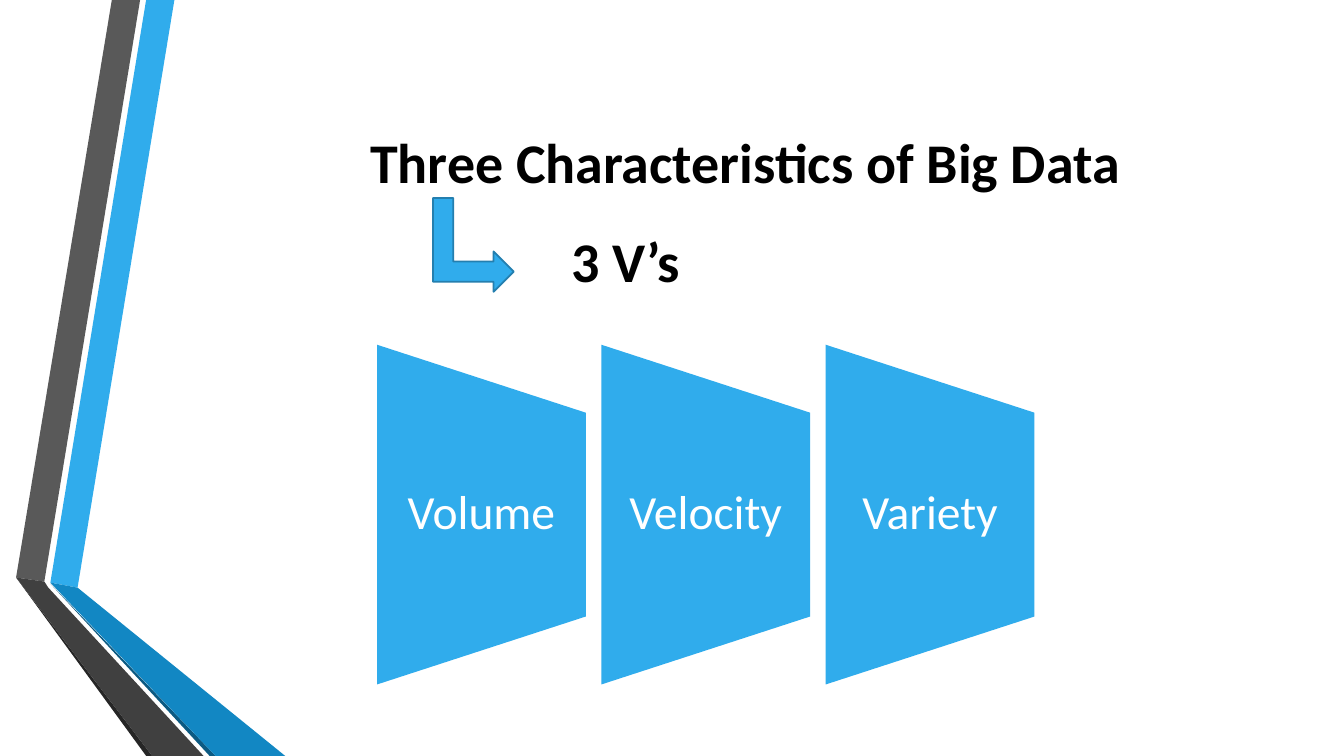
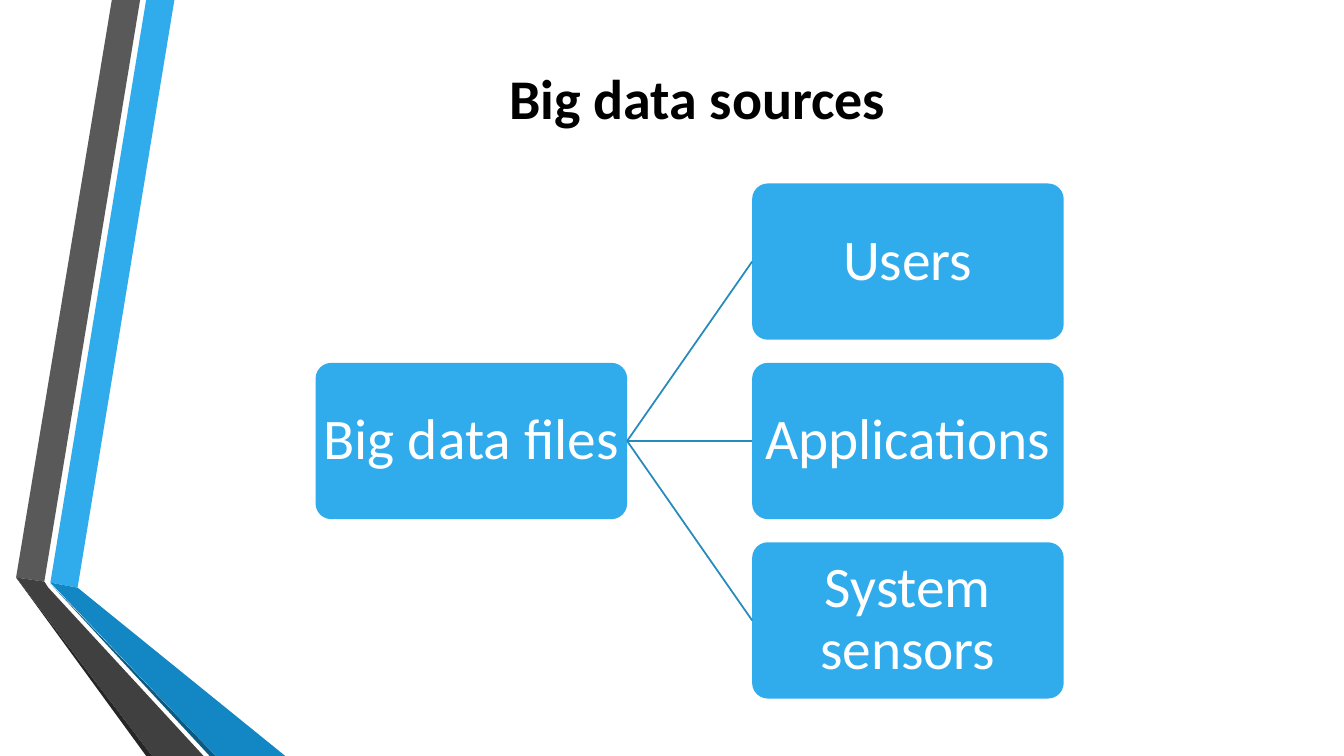
from lxml.etree import SubElement
from pptx import Presentation
from pptx.dml.color import RGBColor
from pptx.enum.shapes import MSO_CONNECTOR, MSO_SHAPE
from pptx.enum.text import MSO_ANCHOR, PP_ALIGN
from pptx.oxml.ns import qn
from pptx.util import Inches, Pt

BLACK = RGBColor(0x00, 0x00, 0x00)
WHITE = RGBColor(0xFF, 0xFF, 0xFF)
SKY = RGBColor(0x30, 0xAC, 0xEC)
BLUE = RGBColor(0x12, 0x87, 0xC3)
NAVY = RGBColor(0x0C, 0x5A, 0x82)
GRAY = RGBColor(0x59, 0x59, 0x59)
DARK = RGBColor(0x40, 0x40, 0x40)
COAL = RGBColor(0x26, 0x26, 0x26)
EDGE = RGBColor(0x24, 0x7F, 0xAF)
LINK = RGBColor(0x26, 0x8A, 0xBD)

BANDS = [
    (SKY, [(0.5, 5.78), (0.77, 5.83), (1.73, 0), (1.45, 0)]),
    (GRAY, [(1.39, 0), (1.11, 0), (0.16, 5.73), (0.44, 5.77)]),
    (COAL, [(0.16, 5.73), (1.45, 7.5), (1.51, 7.5)]),
    (NAVY, [(0.5, 5.79), (2.08, 7.5), (2.14, 7.5)]),
    (BLUE, [(0.5, 5.78), (2.14, 7.5), (2.83, 7.5), (0.77, 5.83)]),
    (DARK, [(2.02, 7.5), (0.48, 5.83), (0.44, 5.77), (0.16, 5.73), (1.51, 7.5)]),
]

TRAITS = ["Volume", "Velocity", "Variety"]
ROOT = "Big data files"
SOURCES = ["Users", "Applications", "System sensors"]

HEAD = {"name": "Calibri", "size": Pt(40), "bold": True}
TRAIT = {"name": "Calibri", "size": Pt(34)}
NODE = {"name": "Calibri", "size": Pt(41)}


def inches(*box):
    return [Inches(v) for v in box]


def write(shape, text, style, color, align=PP_ALIGN.CENTER, pad=(0.1, 0.05), ratio=None):
    frame = shape.text_frame
    frame.text = text
    side, edge = inches(*pad)
    look = {
        "word_wrap": True, "vertical_anchor": MSO_ANCHOR.MIDDLE,
        "margin_left": side, "margin_right": side,
        "margin_top": edge, "margin_bottom": edge,
    }
    for key, value in look.items():
        setattr(frame, key, value)
    para = frame.paragraphs[0]
    para.alignment = align
    if ratio:
        para.line_spacing = ratio
    font = para.runs[0].font
    for key, value in style.items():
        setattr(font, key, value)
    font.color.rgb = color


def paint(shape, fill, line=None):
    shape.shadow.inherit = False
    shape.fill.solid()
    shape.fill.fore_color.rgb = fill
    if line:
        shape.line.color.rgb = line
        shape.line.width = Pt(1.25)
    else:
        shape.line.fill.background()


def add_bands(slide, layout):
    for color, points in BANDS:
        first, *rest = [inches(*point) for point in points]
        pen = slide.shapes.build_freeform(*first)
        pen.add_line_segments(rest, close=True)
        band = pen.convert_to_shape()
        paint(band, color)
        layout.shapes.element.append(band.element)


def add_title(slide, text, left, top):
    title = slide.shapes.title
    place = dict(zip(("left", "top", "width", "height"), inches(left, top, 10.96, 1.92)))
    for key, value in place.items():
        setattr(title, key, value)
    write(title, text, HEAD, BLACK)


def add_traits(slide):
    shapes = slide.shapes
    arrow = shapes.add_shape(MSO_SHAPE.BENT_UP_ARROW, *inches(4.23, 2.03, 0.93, 0.8))
    arrow.rotation = 90
    paint(arrow, SKY, EDGE)
    label = shapes.add_textbox(*inches(5.57, 2.22, 1.53, 0.72))
    write(label, "3 V’s", HEAD, BLACK, PP_ALIGN.LEFT)

    long, wide, pitch = 3.37, 2.07, 2.225
    for i, name in enumerate(TRAITS):
        left = 3.74 + i * pitch
        mid = left + wide / 2
        block = shapes.add_shape(
            MSO_SHAPE.FLOWCHART_MANUAL_OPERATION,
            *inches(mid - long / 2, 4.07, long, wide))
        block.rotation = 270
        paint(block, SKY)
        text = shapes.add_textbox(*inches(left, 4.09, wide, 2.02))
        write(text, name, TRAIT, WHITE, pad=(0.24, 0), ratio=0.9)


def add_node(slide, text, left, top):
    node = slide.shapes.add_shape(
        MSO_SHAPE.ROUNDED_RECTANGLE, *inches(left, top, 3.09, 1.55))
    node.adjustments[0] = 0.1
    paint(node, SKY)
    write(node, text, NODE, WHITE, pad=(0.03, 0.03), ratio=0.9)
    return node


def add_tree(slide):
    root = add_node(slide, ROOT, 3.13, 3.6)
    for i, name in enumerate(SOURCES):
        leaf = add_node(slide, name, 7.46, 1.82 + i * 1.78)
        link = slide.shapes.add_connector(MSO_CONNECTOR.STRAIGHT, 0, 0, 0, 0)
        link.begin_connect(root, 3)
        link.end_connect(leaf, 1)
        link.line.color.rgb = LINK
        link.line.width = Pt(1.25)
        SubElement(link.element.spPr, qn("a:effectLst"))


def main():
    deck = Presentation()
    deck.slide_width, deck.slide_height = inches(13.33, 7.5)
    layout = deck.slide_layouts[5]

    traits = deck.slides.add_slide(layout)
    add_bands(traits, layout)
    add_title(traits, "Three Characteristics of Big Data", 1.91, 0.64)
    add_traits(traits)

    tree = deck.slides.add_slide(layout)
    add_title(tree, "Big data sources ", 1.5, 0)
    add_tree(tree)

    deck.save("out.pptx")


if __name__ == "__main__":
    main()
